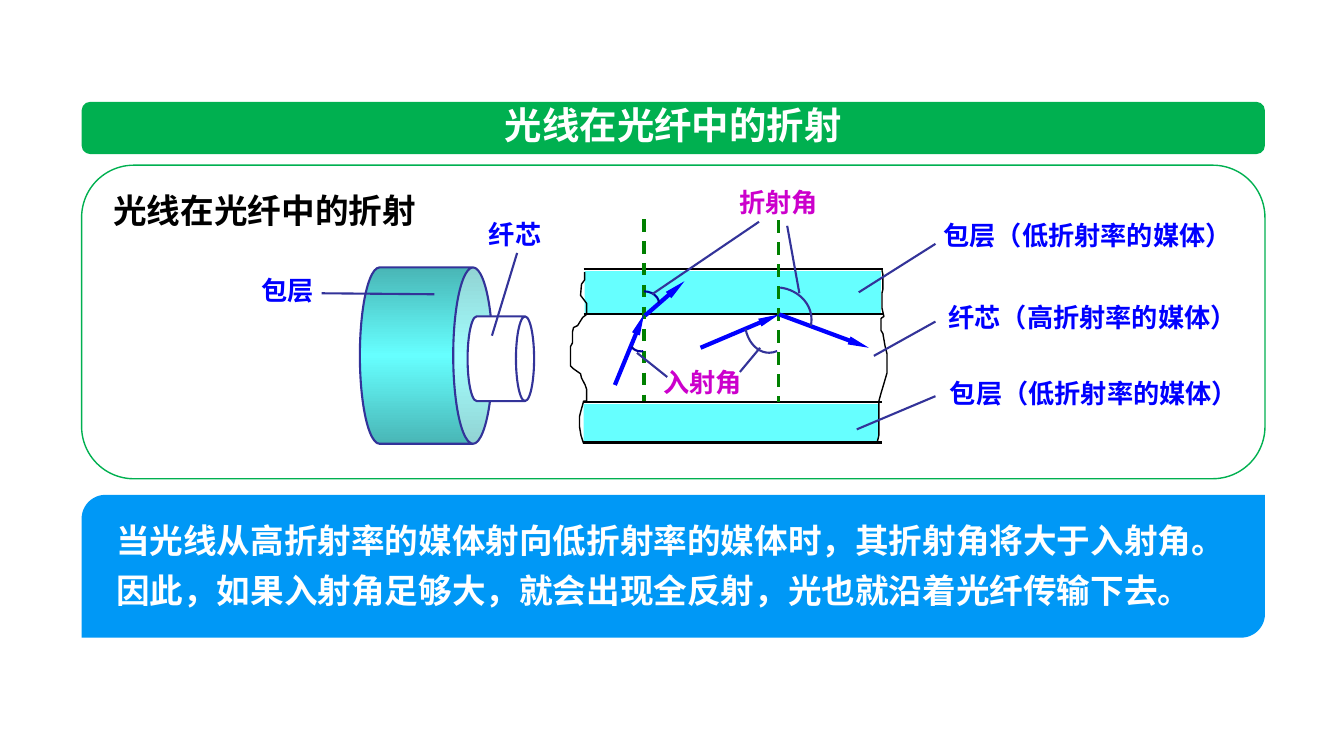
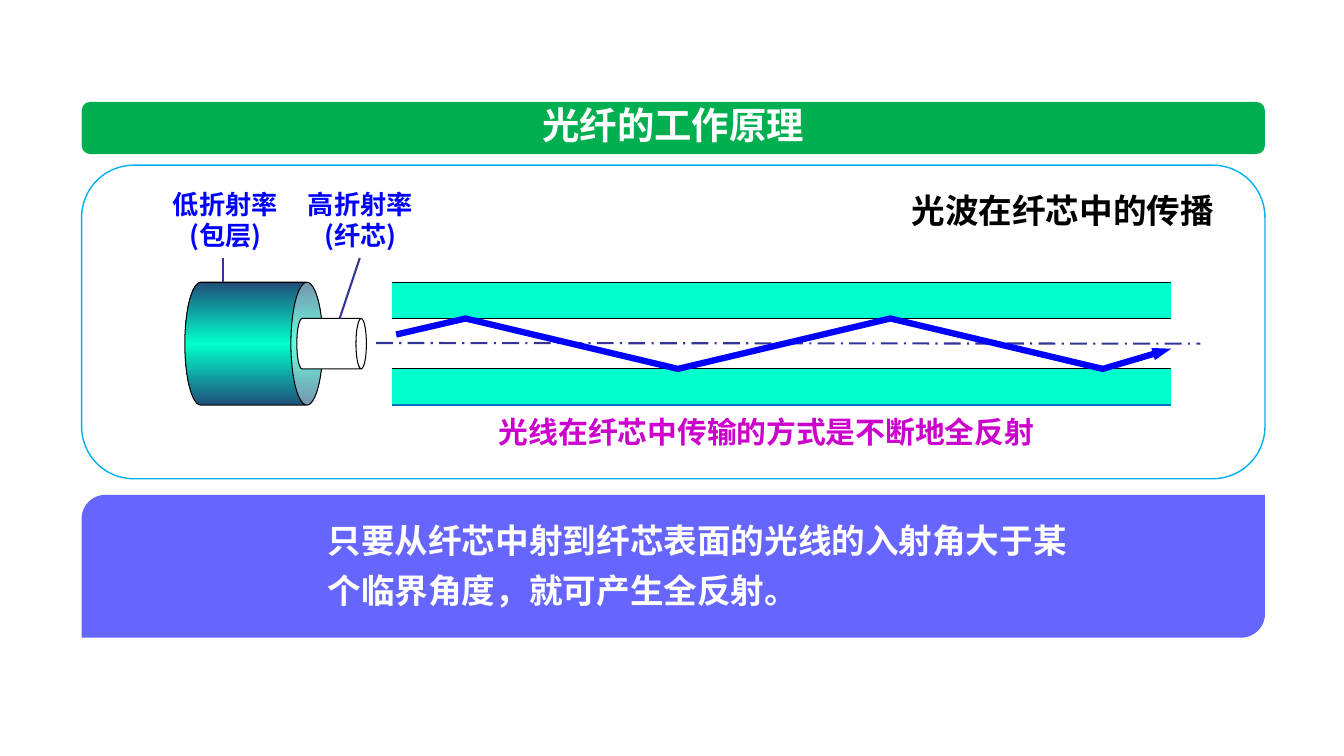
from copy import deepcopy

from lxml.etree import SubElement
from pptx import Presentation
from pptx.dml.color import RGBColor
from pptx.enum.dml import MSO_LINE as DASH
from pptx.enum.shapes import MSO_CONNECTOR, MSO_SHAPE as SHAPE
from pptx.enum.text import MSO_ANCHOR as ANCHOR, PP_ALIGN as ALIGN
from pptx.oxml.ns import qn
from pptx.util import Pt

FONT = "Noto Sans CJK SC"
C = {
    "white": "FFFFFF", "black": "000000", "green": "00B050", "sky": "00B0F0",
    "azure": "0098F6", "violet": "6666FF", "cyan": "66FFFF", "teal": "49B6B6",
    "mint": "00FFCC", "navy": "1F4E79", "blue": "0000FF", "magenta": "CC00CC",
    "leader": "333399", "angle": "000099", "normal": "008000", "edge": "0070C0",
}
LEFT, WIDTH = 58.3, 845.3


def rgb(name):
    return RGBColor.from_string(C[name])


def write(sp, value, size=18.7, color="blue", align=ALIGN.LEFT, wrap=True,
          spacing=None, before=0):
    tf = sp.text_frame
    tf.word_wrap = wrap
    tf.vertical_anchor = ANCHOR.MIDDLE
    tf.margin_left = tf.margin_right = tf.margin_top = tf.margin_bottom = 0
    for i, line_text in enumerate(value.split("\n")):
        p = tf.add_paragraph() if i else tf.paragraphs[0]
        p.alignment = align
        p.space_before = Pt(before)
        if spacing:
            p.line_spacing = Pt(spacing)
        r = p.add_run()
        r.text = line_text
        r.font.size = Pt(size)
        r.font.bold = True
        r.font.color.rgb = rgb(color)
        r.font.name = FONT
        SubElement(r.font._element, qn("a:ea")).set("typeface", FONT)


def label(s, value, x, y, w, h=30, **fmt):
    write(s.shapes.add_textbox(Pt(x), Pt(y), Pt(w), Pt(h)), value, **fmt)


def style(sp, fill=None, line=None, width=1):
    sp.shadow.inherit = False
    if fill:
        sp.fill.solid()
        sp.fill.fore_color.rgb = rgb(fill)
    else:
        sp.fill.background()
    if line:
        sp.line.color.rgb = rgb(line)
        sp.line.width = Pt(width)
    else:
        sp.line.fill.background()


def shape(s, kind, x, y, w, h, fill=None, line=None, width=1, adj=()):
    sp = s.shapes.add_shape(kind, Pt(x), Pt(y), Pt(w), Pt(h))
    style(sp, fill, line, width)
    for i, value in enumerate(adj):
        sp.adjustments[i] = value
    return sp


def arrowhead(sp, length):
    end = SubElement(sp.line._get_or_add_ln(), qn("a:tailEnd"))
    for key, value in (("type", "triangle"), ("w", "sm"), ("len", length)):
        end.set(key, value)


def line(s, x1, y1, x2, y2, color="leader", width=1.5, dash=None):
    cn = s.shapes.add_connector(MSO_CONNECTOR.STRAIGHT, Pt(x1), Pt(y1), Pt(x2), Pt(y2))
    cn.line.color.rgb = rgb(color)
    cn.line.width = Pt(width)
    if dash:
        cn.line.dash_style = dash
    SubElement(cn.element.spPr, qn("a:effectLst"))
    return cn


def ray(s, *ends):
    arrowhead(line(s, *ends, color="blue", width=3), "lg")


def polyline(s, points, color="black", width=1):
    pts = [(Pt(x), Pt(y)) for x, y in points]
    fb = s.shapes.build_freeform(*pts[0])
    fb.add_line_segments(pts[1:], close=False)
    sp = fb.convert_to_shape()
    style(sp, line=color, width=width)
    return sp


def arc(s, cx, cy, rx, ry, start, end, color="leader"):
    shape(s, SHAPE.ARC, cx - rx, cy - ry, 2 * rx, 2 * ry, line=color, width=1.5,
          adj=(start * 0.6, end * 0.6))


def cylinder(s, x, y, w, h, depth, line, width, gradient=None):
    sp = shape(s, SHAPE.CAN, x + (w - h) / 2, y + (h - w) / 2, h, w,
               "white", line, width, (depth,))
    sp.rotation = 90
    if gradient:
        dark, light = gradient
        sp.fill.gradient()
        sp.fill.gradient_angle = 0
        stops = sp.element.spPr.find(".//" + qn("a:gsLst"))
        stops.append(deepcopy(stops[0]))
        for stop, pos, color in zip(sp.fill.gradient_stops, (0, 0.5, 1), (dark, light, dark)):
            stop.position = pos
            stop.color.rgb = rgb(color)


def base_slide(prs, title, panel_line, note_fill):
    s = prs.slides.add_slide(prs.slide_layouts[5])
    band = shape(s, SHAPE.ROUNDED_RECTANGLE, LEFT, 72.7, WIDTH, 37.4, "green", adj=(0.167,))
    sp = s.shapes.title
    sp.left, sp.top, sp.width, sp.height = Pt(LEFT), Pt(69), Pt(WIDTH), Pt(40)
    write(sp, title, size=26.7, color="white", align=ALIGN.CENTER)
    band.element.addnext(sp.element)
    shape(s, SHAPE.ROUNDED_RECTANGLE, LEFT, 118, WIDTH, 224, "white", panel_line)
    shape(s, SHAPE.ROUND_2_DIAG_RECTANGLE, LEFT, 353.5, WIDTH, 102, note_fill)
    return s


def heading(s, value, x):
    label(s, value, x, 132, 240, 36, size=24, color="black", align=ALIGN.CENTER)


def note(s, value, x, w):
    label(s, value, x, 360, w, 80, size=24, color="white", spacing=36, before=8)


def refraction_slide(prs):
    s = base_slide(prs, "光线在光纤中的折射", "green", "azure")
    heading(s, "光线在光纤中的折射", 69)
    note(s, "当光线从高折射率的媒体射向低折射率的媒体时，其折射角将大于入射角。"
            "因此，如果入射角足够大，就会出现全反射，光也就沿着光纤传输下去。", 83, 798)

    cylinder(s, 257, 191, 95, 126, 0.298, "leader", 1.5, ("teal", "cyan"))
    cylinder(s, 334, 226, 47.5, 60.5, 0.273, "leader", 1.5)

    shape(s, SHAPE.RECTANGLE, 417.6, 193.7, 211.7, 30.2, "cyan")
    shape(s, SHAPE.RECTANGLE, 416.9, 288.7, 210.2, 26.6, "cyan")
    for x, y in ((416.9, 192.2), (416.9, 224.6), (416.2, 287.3), (416.2, 316.1)):
        line(s, x, y, x + 213.8, y, "black")
    polyline(s, [
        (417.6, 194.4), (417.6, 200), (415.4, 203), (414.7, 211), (419, 216.7),
        (419, 224.6), (416.2, 226.8), (412.6, 232.6), (409.7, 234), (409, 237),
        (409, 244.8), (407.5, 247.7), (407.5, 261.4), (409.7, 263.5), (414.7, 267),
        (415.4, 270), (418, 275), (419, 278), (419, 286.6), (416.9, 286.6),
        (414.7, 294.5), (414, 297.4), (414, 305), (415, 311), (416.9, 316.8)])
    polyline(s, [
        (630, 193), (630.7, 196), (630.7, 206.6), (630, 209.5), (630, 220),
        (631.4, 226), (629.3, 227.5), (629.3, 236), (630.7, 238.3), (632.2, 247),
        (633.6, 252.7), (633.6, 266.4), (631.4, 274), (629.3, 281), (627.8, 286.6),
        (627.8, 311), (626.4, 316.8)])

    for x, y in ((460, 156.5), (556, 157.5)):
        line(s, x, y, x, y + 129.6, "normal", 2.25, DASH.DASH)
    ray(s, 439.2, 275, 460, 224.6)
    ray(s, 460.8, 225.4, 488.9, 200.9)
    ray(s, 500.4, 248.4, 556.6, 224.6)
    ray(s, 556.6, 224.6, 620.6, 248.4)

    arc(s, 460, 216.7, 10.8, 8.6, 270, 360, "angle")
    arc(s, 458, 245.5, 7.5, 5.5, 75, 162, "angle")
    arc(s, 549.4, 229.7, 17.3, 22.3, 75, 163)
    arc(s, 553.7, 228.2, 26, 23, 279, 10)

    for ends in (
            (562.3, 161.3, 571, 209.5), (465.8, 210.2, 542.2, 158.4),
            (455, 252, 476.6, 269.3), (528.5, 265.7, 542.9, 248.4),
            (668.2, 174.2, 613.4, 208.8), (668.2, 229.7, 624.2, 254.2),
            (668.2, 283, 612, 306.7), (229.7, 209.5, 310.3, 210.2),
            (369.4, 180.7, 351.4, 239.8)):
        line(s, *ends)

    label(s, "折射角", 528, 129.4, 60, color="magenta")
    label(s, "入射角", 474, 257.9, 62, color="magenta")
    label(s, "包层", 186.5, 192.4, 42)
    label(s, "纤芯", 349.2, 152, 48)
    label(s, "包层（低折射率的媒体）", 674, 152.8, 215)
    label(s, "纤芯（高折射率的媒体）", 677.5, 211.8, 215)
    label(s, "包层（低折射率的媒体）", 678.5, 265.8, 215)


def propagation_slide(prs):
    s = base_slide(prs, "光纤的工作原理", "sky", "violet")
    heading(s, "光波在纤芯中的传播", 639)
    note(s, "只要从纤芯中射到纤芯表面的光线的入射角大于某个临界角度，就可产生全反射。", 234, 530)

    x, w = 280, 556.5
    top, core_top, core_bottom, bottom = edges = (201.6, 227.5, 263.5, 289.4)
    for y, y_end, fill in zip(edges, edges[1:], ("mint", "white", "mint")):
        shape(s, SHAPE.RECTANGLE, x, y, w, y_end - y, fill)
    for y in edges[:3]:
        line(s, x, y, x + w, y, "black", 0.75)
    line(s, x, bottom, x + w, bottom, "edge", 1)

    cylinder(s, 132, top, 98.6, bottom - top, 0.26, "black", 0.75, ("navy", "mint"))
    cylinder(s, 212, core_top, 49.7, core_bottom - core_top, 0.207, "black", 0.75)
    line(s, 268.6, 245, 857.5, 245.5, dash=DASH.LONG_DASH_DOT)

    for value, cx in (("低折射率\n(包层)", 161), ("高折射率\n(纤芯)", 257.4)):
        label(s, value, cx - 45, 131, 90, 52, align=ALIGN.CENTER, wrap=False, spacing=22)
    line(s, 159.1, 184.3, 159.1, top)
    line(s, 257, 184.3, 242.6, core_top)
    label(s, "光线在纤芯中传输的方式是不断地全反射", 356.4, 293, 395, size=21.3, color="magenta")

    bounces = [(332.6 + 151.7 * i, core_bottom if i % 2 else core_top) for i in range(4)]
    light = polyline(s, [(283, 239), *bounces, (836.6, 249.1)], "blue", 4.5)
    arrowhead(light, "med")


def main():
    prs = Presentation()
    prs.slide_width, prs.slide_height = Pt(960), Pt(540)
    refraction_slide(prs)
    propagation_slide(prs)
    prs.save("out.pptx")


if __name__ == "__main__":
    main()
